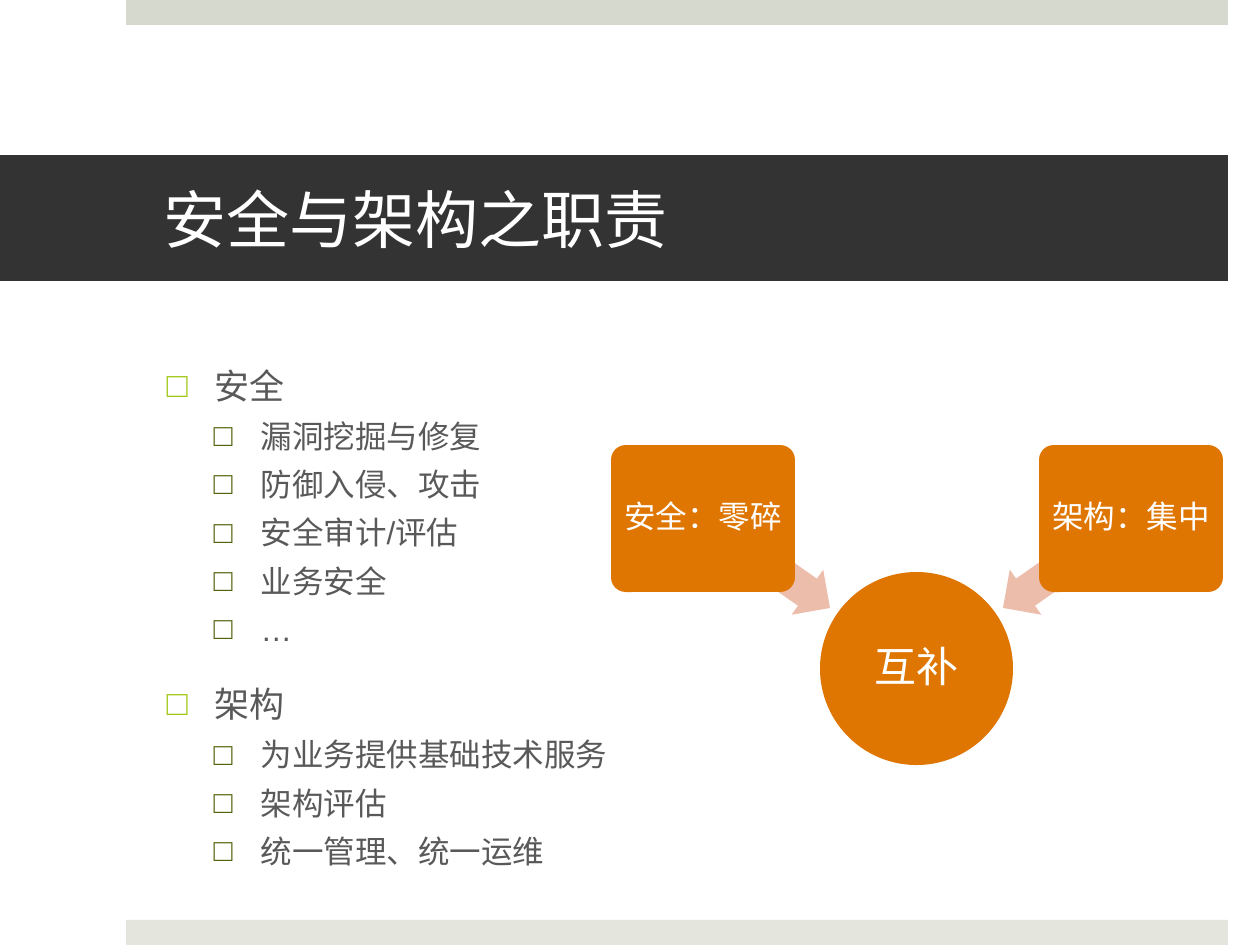
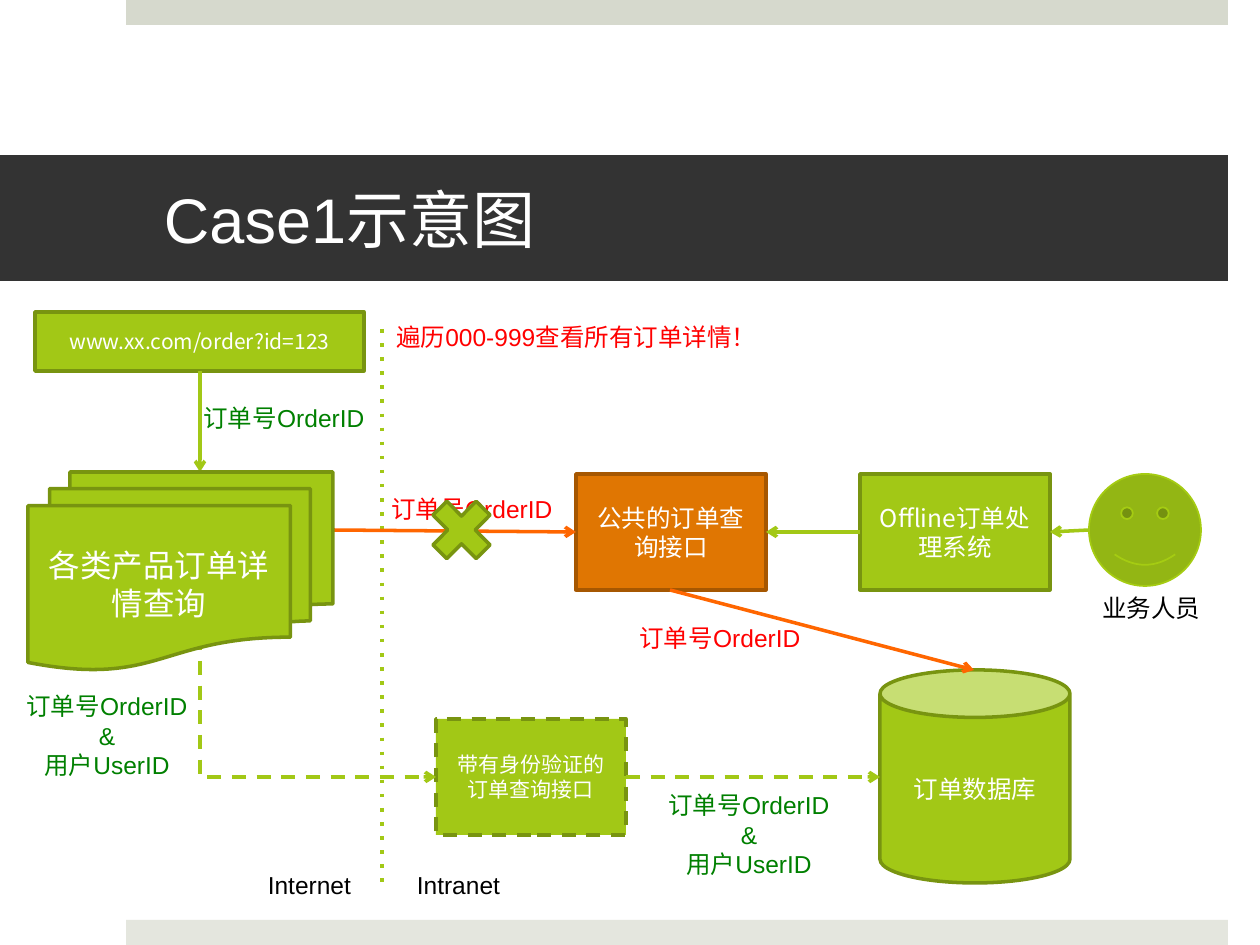
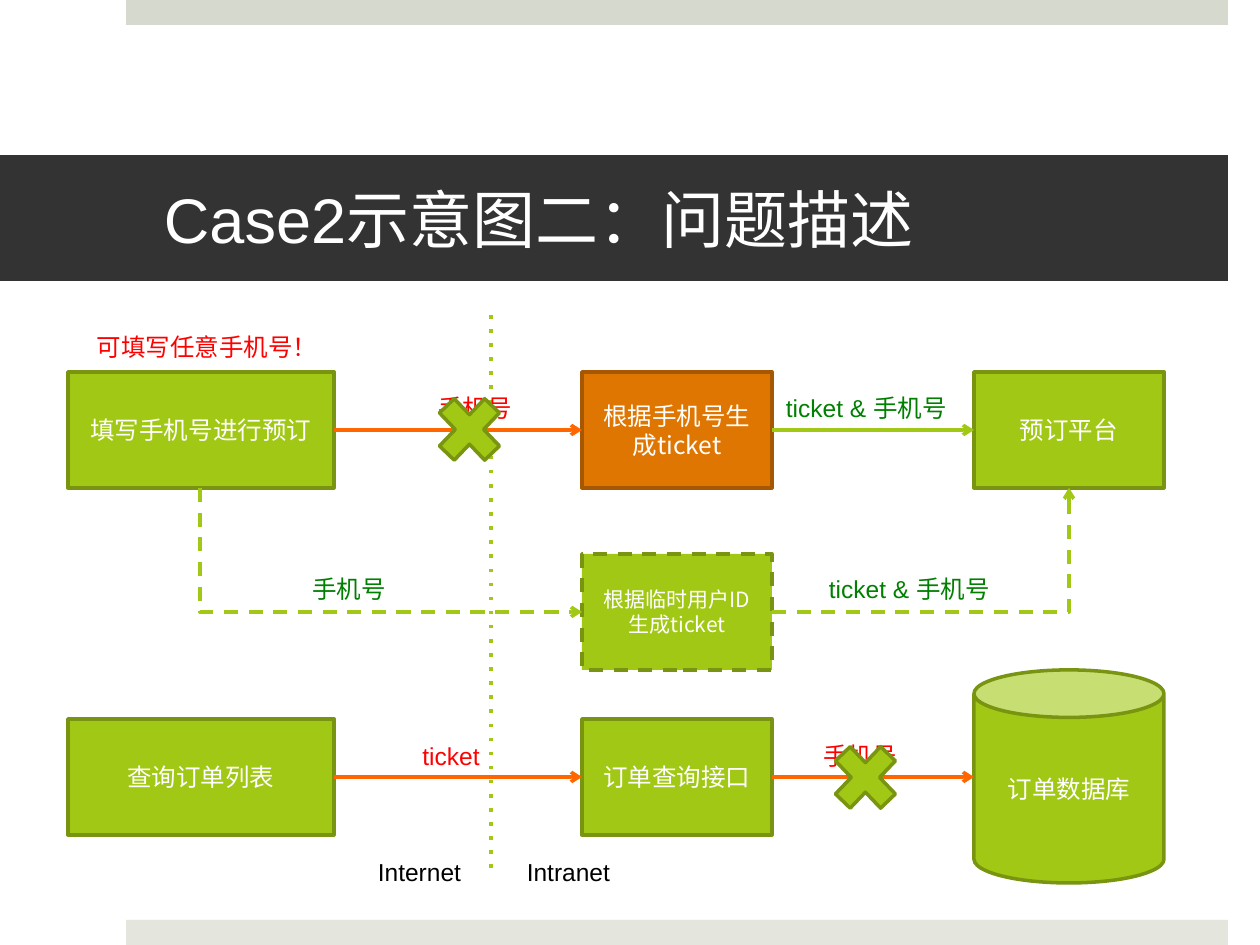
from lxml import etree
from pptx import Presentation
from pptx.dml.color import RGBColor
from pptx.enum.dml import MSO_LINE
from pptx.enum.shapes import MSO_CONNECTOR, MSO_SHAPE
from pptx.enum.text import MSO_ANCHOR, MSO_AUTO_SIZE, PP_ALIGN
from pptx.oxml.ns import qn
from pptx.util import Pt

EMU_PER_INCH = 914400
PX_PER_INCH = 126
RECT, ROUNDED, OVAL = MSO_SHAPE.RECTANGLE, MSO_SHAPE.ROUNDED_RECTANGLE, MSO_SHAPE.OVAL
CAN, CROSS, FACE = MSO_SHAPE.CAN, MSO_SHAPE.MATH_MULTIPLY, MSO_SHAPE.SMILEY_FACE
LEFT_ARROW, DOCUMENTS = MSO_SHAPE.LEFT_ARROW, MSO_SHAPE.FLOWCHART_MULTIDOCUMENT
STRAIGHT, ELBOW = MSO_CONNECTOR.STRAIGHT, MSO_CONNECTOR.ELBOW
LEFT, CENTER, RIGHT = PP_ALIGN.LEFT, PP_ALIGN.CENTER, PP_ALIGN.RIGHT
MIDDLE, NO_FIT = MSO_ANCHOR.MIDDLE, MSO_AUTO_SIZE.NONE
DASH = MSO_LINE.DASH
TOP_SITE, LEFT_SITE, BOTTOM_SITE, RIGHT_SITE = range(4)
TEXT_FONT, NODE_FONT = "Arial", "Noto Sans CJK SC"

COLORS = {
    "top band": "D6D9CD", "bottom band": "E4E6DE", "title": "333333",
    "white": "FFFFFF", "black": "000000", "body": "595959",
    "green": "A2C816", "green edge": "789410", "bullet": "51640B",
    "orange": "E07602", "orange edge": "A65701", "pale": "EDBDAB",
    "face": "93B614", "face edge": "A5CC12",
    "risk line": "FF6600", "risk": "FF0000", "safe": "008000",
}
RGB = {name: RGBColor.from_string(value) for name, value in COLORS.items()}


def emu(*lengths):
    return [round(px * EMU_PER_INCH / PX_PER_INCH) for px in lengths]


def add_node(slide, kind, box, text="", fill="green", edge="green edge", size=14,
             dashed=False, font=NODE_FONT, weight=2):
    node = slide.shapes.add_shape(kind, *emu(*box))
    node.shadow.inherit = False
    node.fill.solid()
    node.fill.fore_color.rgb = RGB[fill]
    if edge:
        node.line.color.rgb = RGB[edge]
        node.line.width = Pt(weight)
        if dashed:
            node.line.dash_style = DASH
    else:
        node.line.fill.background()
    if text:
        frame = node.text_frame
        frame.text = text
        frame.word_wrap = True
        frame.vertical_anchor = MIDDLE
        paragraph = frame.paragraphs[0]
        paragraph.alignment = CENTER
        paragraph.font.size = Pt(size)
        paragraph.font.name = font
        paragraph.font.color.rgb = RGB["white"]
    return node


prs = Presentation()
prs.slide_width, prs.slide_height = emu(1260, 945)
titles = ["安全与架构之职责", "Case1示意图", "Case2示意图二：问题描述"]
slides = []
for title_text, layout in zip(titles, (1, 5, 5)):
    slide = prs.slides.add_slide(prs.slide_layouts[layout])
    slides.append(slide)
    title = slide.shapes.title
    title.left, title.top, title.width, title.height = emu(0, 155, 1228, 126)
    title.fill.solid()
    title.fill.fore_color.rgb = RGB["title"]
    frame = title.text_frame
    frame.text = title_text
    frame.auto_size = NO_FIT
    frame.vertical_anchor = MIDDLE
    frame.margin_left, frame.margin_right = emu(164, 38)
    heading = frame.paragraphs[0]
    heading.alignment = LEFT
    heading.runs[0].font.size = Pt(36)
    heading.runs[0].font.name = TEXT_FONT
    heading.runs[0].font.color.rgb = RGB["white"]
duties, order_case, booking_case = slides

master_tree = prs.slide_master.shapes.element
for band_name, top in (("top band", 0), ("bottom band", 920)):
    band = add_node(duties, RECT, (126, top, 1102, 25), fill=band_name, edge=None)
    master_tree.insert(2, band.element)

duty_items = [
    (0, "安全"), (1, "漏洞挖掘与修复"), (1, "防御入侵、攻击"),
    (1, "安全审计/评估"), (1, "业务安全"), (1, "…"),
    (0, "架构"), (1, "为业务提供基础技术服务"), (1, "架构评估"),
    (1, "统一管理、统一运维"),
]
level_styles = [(20, 20, 48, 48, "green"), (18, 6, 94, 47, "bullet")]
duty_list = duties.placeholders[1]
duty_list.left, duty_list.top, duty_list.width, duty_list.height = emu(154, 358, 1048, 505)
frame = duty_list.text_frame
frame.text = "\n".join(text for level, text in duty_items)
frame.auto_size = NO_FIT
for paragraph, (level, text) in zip(frame.paragraphs, duty_items):
    size, before, margin, hanging, bullet_color = level_styles[level]
    paragraph.level = level
    paragraph.space_before = Pt(before)
    font = paragraph.runs[0].font
    font.size, font.name = Pt(size), TEXT_FONT
    font.color.rgb = RGB["body"]
    properties = paragraph.runs[0].font and paragraph.element.get_or_add_pPr() if hasattr(paragraph, "element") else paragraph._p.get_or_add_pPr()
    margin_emu, indent_emu = emu(margin, -hanging)
    properties.set("marL", str(margin_emu))
    properties.set("indent", str(indent_emu))
    color = etree.SubElement(properties, qn("a:buClr"))
    etree.SubElement(color, qn("a:srgbClr"), val=COLORS[bullet_color])
    etree.SubElement(properties, qn("a:buChar"), char="□")

duty_nodes = [add_node(duties, OVAL, (820, 572, 193, 193), "互补", "orange", None, 24,
                       font=TEXT_FONT)]
for arrow_left, angle, box_left, text in (
    (689, 215, 611, "安全：零碎"),
    (989, 325, 1039, "架构：集中"),
):
    arrow = add_node(duties, LEFT_ARROW, (arrow_left, 536, 155, 55), fill="pale", edge=None)
    arrow.rotation = angle
    arrow.adjustments[0], arrow.adjustments[1] = 0.6, 0.5
    duty = add_node(duties, ROUNDED, (box_left, 445, 184, 147), text, "orange", None, 18,
                    font=TEXT_FONT)
    duty.adjustments[0] = 0.1
    duty_nodes.append(duty)
for duty in duty_nodes:
    frame = duty.text_frame
    frame.margin_left, frame.margin_right = emu(5, 5)
    frame.paragraphs[0].line_spacing = 0.9

add_node(order_case, CAN, (880, 670, 190, 213), "订单数据库")
add_node(order_case, RECT, (576, 474, 190, 116), "公共的订单查询接口", "orange", "orange edge")
add_node(order_case, FACE, (1089, 474, 112, 112), fill="face", edge="face edge", weight=1)
add_node(order_case, RECT, (860, 474, 190, 116), "Offline订单处理系统")
add_node(order_case, RECT, (35, 312, 329, 59), "www.xx.com/order?id=123", size=12)
verified_query = add_node(order_case, RECT, (436, 719, 190, 116),
                          "带有身份验证的订单查询接口", size=12, dashed=True)
order_pages = add_node(order_case, DOCUMENTS, (28, 472, 305, 198),
                       "各类产品订单详情查询", size=18)

add_node(booking_case, CAN, (974, 670, 190, 213), "订单数据库")
add_node(booking_case, RECT, (582, 719, 190, 116), "订单查询接口")
phone_form = add_node(booking_case, RECT, (68, 372, 266, 116), "填写手机号进行预订")
add_node(booking_case, RECT, (68, 719, 266, 116), "查询订单列表")
add_node(booking_case, RECT, (582, 372, 190, 116), "根据手机号生成ticket",
         "orange", "orange edge")
booking_platform = add_node(booking_case, RECT, (974, 372, 190, 116), "预订平台")
ticket_maker = add_node(booking_case, RECT, (582, 554, 190, 116),
                        "根据临时用户ID生成ticket", size=12, dashed=True)

straight_links = [
    (order_case, (382, 329, 382, 883), "green", "dot", False),
    (order_case, (670, 590, 974, 670), "risk line", None, True),
    (order_case, (860, 532, 766, 532), "green", None, True),
    (order_case, (1089, 530, 1050, 532), "green", None, True),
    (order_case, (333, 530, 576, 532), "risk line", None, True),
    (order_case, (200, 371, 200, 472), "green", None, True),
    (order_case, (626, 777, 880, 777), "green", "dash", True),
    (booking_case, (491, 315, 491, 869), "green", "dot", False),
    (booking_case, (772, 777, 974, 777), "risk line", None, True),
    (booking_case, (334, 777, 582, 777), "risk line", None, True),
    (booking_case, (334, 430, 582, 430), "risk line", None, True),
    (booking_case, (772, 430, 974, 430), "green", None, True),
]
links = []
for slide, ends, color, dash, arrow in straight_links:
    link = slide.shapes.add_connector(STRAIGHT, *emu(*ends))
    links.append((link, color, dash, arrow))

bent_links = [
    (order_case, order_pages, BOTTOM_SITE, verified_query, LEFT_SITE, (200, 587, 436, 777)),
    (booking_case, phone_form, BOTTOM_SITE, ticket_maker, LEFT_SITE, (200, 488, 582, 612)),
    (booking_case, ticket_maker, RIGHT_SITE, booking_platform, BOTTOM_SITE,
     (772, 612, 1069, 488)),
]
for slide, source, source_site, target, target_site, (x1, y1, x2, y2) in bent_links:
    link = slide.shapes.add_connector(ELBOW, *emu(x1, y1, x2, y2))
    link.begin_connect(source, source_site)
    link.end_connect(target, target_site)
    properties = link.element.spPr
    properties.find(qn("a:prstGeom")).set("prst", "bentConnector2")
    if source_site == BOTTOM_SITE:
        across, down = x2 - x1, y2 - y1
        link.left, link.top, link.width, link.height = emu(
            (x1 + x2 - down) / 2, (y1 + y2 - across) / 2, down, across)
        frame_xml = properties.find(qn("a:xfrm"))
        frame_xml.set("rot", "16200000")
        frame_xml.set("flipH", "1")
    links.append((link, "green", "dash", True))

for link, color, dash, arrow in links:
    link.line.color.rgb = RGB[color]
    link.line.width = Pt(2)
    properties = link.element.spPr
    stroke = properties.find(qn("a:ln"))
    if dash:
        etree.SubElement(stroke, qn("a:prstDash"), val=dash)
    if arrow:
        etree.SubElement(stroke, qn("a:tailEnd"), type="arrow")
    etree.SubElement(properties, qn("a:effectLst"))

user_order = "订单号OrderID\n&\n用户UserID"
labels = [
    (order_case, (1089, 587, 125, 43), "业务人员", "black", CENTER),
    (order_case, (626, 617, 188, 43), "订单号OrderID", "risk", CENTER),
    (order_case, (378, 488, 188, 43), "订单号OrderID", "risk", CENTER),
    (order_case, (190, 397, 188, 43), "订单号OrderID", "safe", CENTER),
    (order_case, (13, 685, 188, 102), user_order, "safe", CENTER),
    (order_case, (655, 784, 188, 102), user_order, "safe", CENTER),
    (order_case, (254, 864, 111, 43), "Internet", "black", CENTER),
    (order_case, (403, 864, 111, 43), "Intranet", "black", CENTER),
    (order_case, (369, 316, 400, 43), "遍历000-999查看所有订单详情！", "risk", RIGHT),
    (booking_case, (810, 735, 100, 43), "手机号", "risk", CENTER),
    (booking_case, (364, 851, 111, 43), "Internet", "black", CENTER),
    (booking_case, (513, 851, 111, 43), "Intranet", "black", CENTER),
    (booking_case, (82, 326, 248, 43), "可填写任意手机号！", "risk", RIGHT),
    (booking_case, (409, 735, 84, 43), "ticket", "risk", CENTER),
    (booking_case, (425, 387, 100, 43), "手机号", "risk", CENTER),
    (booking_case, (767, 387, 199, 43), "ticket & 手机号", "safe", CENTER),
    (booking_case, (299, 568, 100, 43), "手机号", "safe", CENTER),
    (booking_case, (810, 568, 199, 43), "ticket & 手机号", "safe", CENTER),
]
for slide, box, text, color, alignment in labels:
    frame = slide.shapes.add_textbox(*emu(*box)).text_frame
    frame.word_wrap = True
    frame.text = text
    for paragraph in frame.paragraphs:
        paragraph.alignment = alignment
        paragraph.font.size = Pt(14)
        paragraph.font.name = TEXT_FONT
        paragraph.font.color.rgb = RGB[color]

for slide, box in (
    (order_case, (420, 488, 83, 84)),
    (booking_case, (822, 732, 87, 91)),
    (booking_case, (426, 384, 87, 91)),
):
    add_node(slide, CROSS, box)
order_case.shapes.element.append(order_pages.element)

prs.save("out.pptx")
